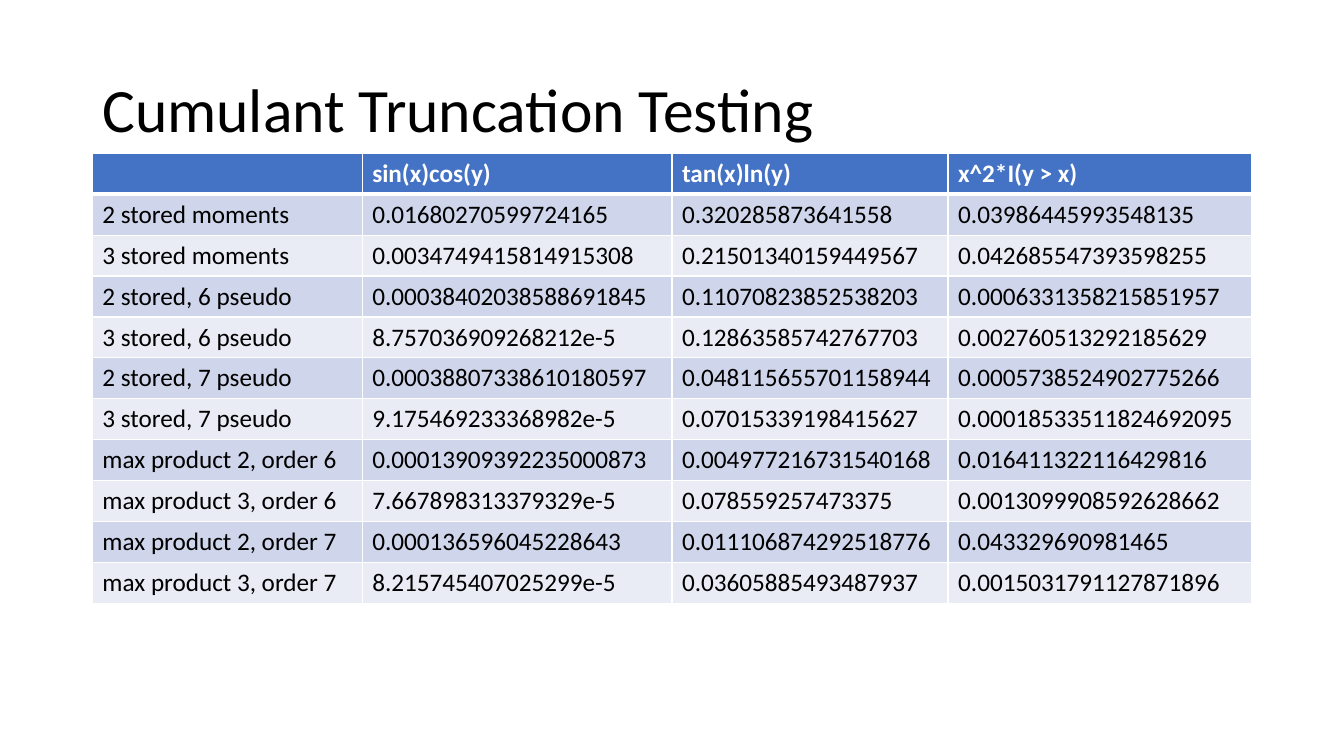
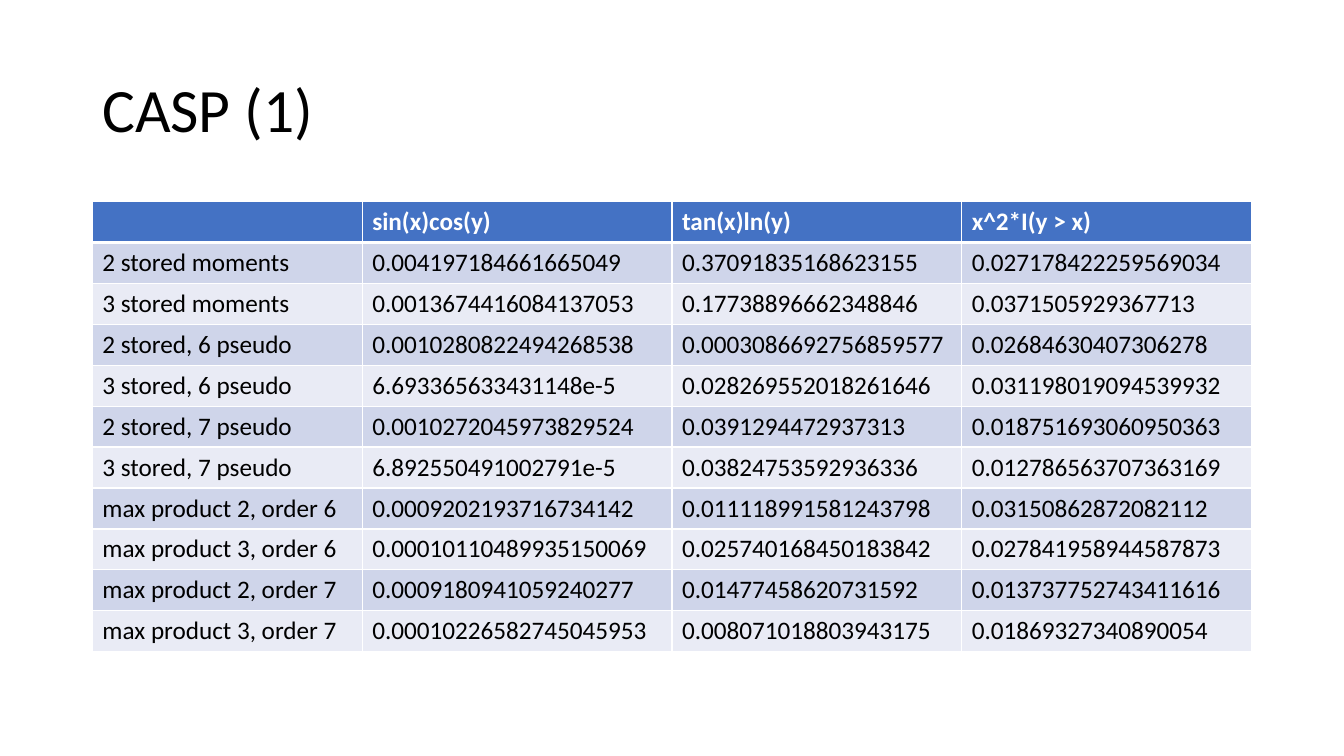
from dataclasses import dataclass

from lxml import etree
from pptx import Presentation
from pptx import util as u
from pptx.dml.color import RGBColor
from pptx.enum import text
from pptx.oxml import ns

EMU_PER_PX = 9525
SLIDE_WIDTH, SLIDE_HEIGHT = 1280, 720
LEFT, WIDTH = 88, 1104
TITLE_TOP, TITLE_HEIGHT = 38, 139
ROW_HEIGHT = 39

FONT = "Calibri"
TITLE_SIZE, TABLE_SIZE = 44, 18
BLACK = RGBColor(0x00, 0x00, 0x00)
WHITE = RGBColor(0xFF, 0xFF, 0xFF)
HEADER_BLUE = RGBColor(0x44, 0x72, 0xC4)
BANDS = (RGBColor(0xCF, 0xD5, 0xEA), RGBColor(0xE9, 0xEB, 0xF5))

HEADERS = ("", "sin(x)cos(y)", "tan(x)ln(y)", "x^2*I(y > x)")
METHODS = (
    "2 stored moments",
    "3 stored moments",
    "2 stored, 6 pseudo",
    "3 stored, 6 pseudo",
    "2 stored, 7 pseudo",
    "3 stored, 7 pseudo",
    "max product 2, order 6",
    "max product 3, order 6",
    "max product 2, order 7",
    "max product 3, order 7",
)


@dataclass(frozen=True)
class ResultSlide:
    title: str
    table_top: int
    column_widths: tuple[int, ...]
    results: tuple[tuple[str, str, str], ...]  # one row per method


RESULT_SLIDES = (
    ResultSlide("Cumulant Truncation Testing", 146, (257, 295, 263, 289), (
        ("0.01680270599724165", "0.320285873641558", "0.03986445993548135"),
        ("0.0034749415814915308", "0.21501340159449567", "0.042685547393598255"),
        ("0.00038402038588691845", "0.11070823852538203", "0.0006331358215851957"),
        ("8.757036909268212e-5", "0.12863585742767703", "0.002760513292185629"),
        ("0.00038807338610180597", "0.048115655701158944", "0.0005738524902775266"),
        ("9.175469233368982e-5", "0.07015339198415627", "0.00018533511824692095"),
        ("0.00013909392235000873", "0.004977216731540168", "0.016411322116429816"),
        ("7.667898313379329e-5", "0.078559257473375", "0.0013099908592628662"),
        ("0.000136596045228643", "0.011106874292518776", "0.043329690981465"),
        ("8.215745407025299e-5", "0.03605885493487937", "0.0015031791127871896"),
    )),
    ResultSlide("CASP (1)", 192, (257, 295, 276, 276), (
        ("0.004197184661665049", "0.37091835168623155", "0.027178422259569034"),
        ("0.0013674416084137053", "0.17738896662348846", "0.0371505929367713"),
        ("0.0010280822494268538", "0.0003086692756859577", "0.02684630407306278"),
        ("6.693365633431148e-5", "0.028269552018261646", "0.031198019094539932"),
        ("0.0010272045973829524", "0.0391294472937313", "0.018751693060950363"),
        ("6.892550491002791e-5", "0.03824753592936336", "0.012786563707363169"),
        ("0.0009202193716734142", "0.011118991581243798", "0.03150862872082112"),
        ("0.00010110489935150069", "0.025740168450183842", "0.027841958944587873"),
        ("0.0009180941059240277", "0.01477458620731592", "0.013737752743411616"),
        ("0.00010226582745045953", "0.008071018803943175", "0.01869327340890054"),
    )),
)


def px(length: int) -> u.Emu:
    return u.Emu(length * EMU_PER_PX)


def format_font(font, size: int, color: RGBColor, bold: bool = False) -> None:
    font.name = FONT
    font.size = u.Pt(size)
    font.bold = bold
    font.color.rgb = color


def add_title(slide, title: str) -> None:
    box = slide.shapes.add_textbox(px(LEFT), px(TITLE_TOP), px(WIDTH), px(TITLE_HEIGHT))
    frame = box.text_frame
    frame.word_wrap = True
    frame.vertical_anchor = text.MSO_ANCHOR.MIDDLE
    frame.text = title
    paragraph = frame.paragraphs[0]
    paragraph.line_spacing = 0.9
    format_font(paragraph.runs[0].font, TITLE_SIZE, BLACK)


def add_borders(cell, widths: dict[str, int]) -> None:
    """Add white borders, given in points by side in schema order L, R, T, B."""
    properties = cell._tc.get_or_add_tcPr()
    for index, (side, width) in enumerate(widths.items()):
        line = etree.Element(ns.qn(f"a:ln{side}"), w=str(u.Pt(width)))
        fill = etree.SubElement(line, ns.qn("a:solidFill"))
        etree.SubElement(fill, ns.qn("a:srgbClr"), val=str(WHITE))
        properties.insert(index, line)


def format_cell(cell, row: int) -> None:
    is_header = row == 0
    cell.fill.solid()
    cell.fill.fore_color.rgb = HEADER_BLUE if is_header else BANDS[(row - 1) % 2]
    add_borders(cell, {
        "L": 1,
        "R": 1,
        "T": 3 if row == 1 else 1,
        "B": 3 if is_header else 1,
    })
    paragraph = cell.text_frame.paragraphs[0]
    format_font(paragraph.font, TABLE_SIZE, WHITE if is_header else BLACK, is_header)
    for run in paragraph.runs:
        format_font(run.font, TABLE_SIZE, WHITE if is_header else BLACK, is_header)


def add_result_table(slide, content: ResultSlide) -> None:
    rows = [HEADERS]
    rows += [(method, *values) for method, values in zip(METHODS, content.results)]
    frame = slide.shapes.add_table(
        len(rows), len(HEADERS),
        px(LEFT), px(content.table_top), px(WIDTH), px(ROW_HEIGHT * len(rows)),
    )
    table = frame.table
    for column, width in zip(table.columns, content.column_widths):
        column.width = px(width)
    for row, values in enumerate(rows):
        for column, value in enumerate(values):
            cell = table.cell(row, column)
            cell.text_frame.text = value
            format_cell(cell, row)


def main() -> None:
    presentation = Presentation()
    presentation.slide_width = px(SLIDE_WIDTH)
    presentation.slide_height = px(SLIDE_HEIGHT)
    blank_layout = presentation.slide_layouts[6]
    for content in RESULT_SLIDES:
        slide = presentation.slides.add_slide(blank_layout)
        add_title(slide, content.title)
        add_result_table(slide, content)
    presentation.save("out.pptx")


if __name__ == "__main__":
    main()
